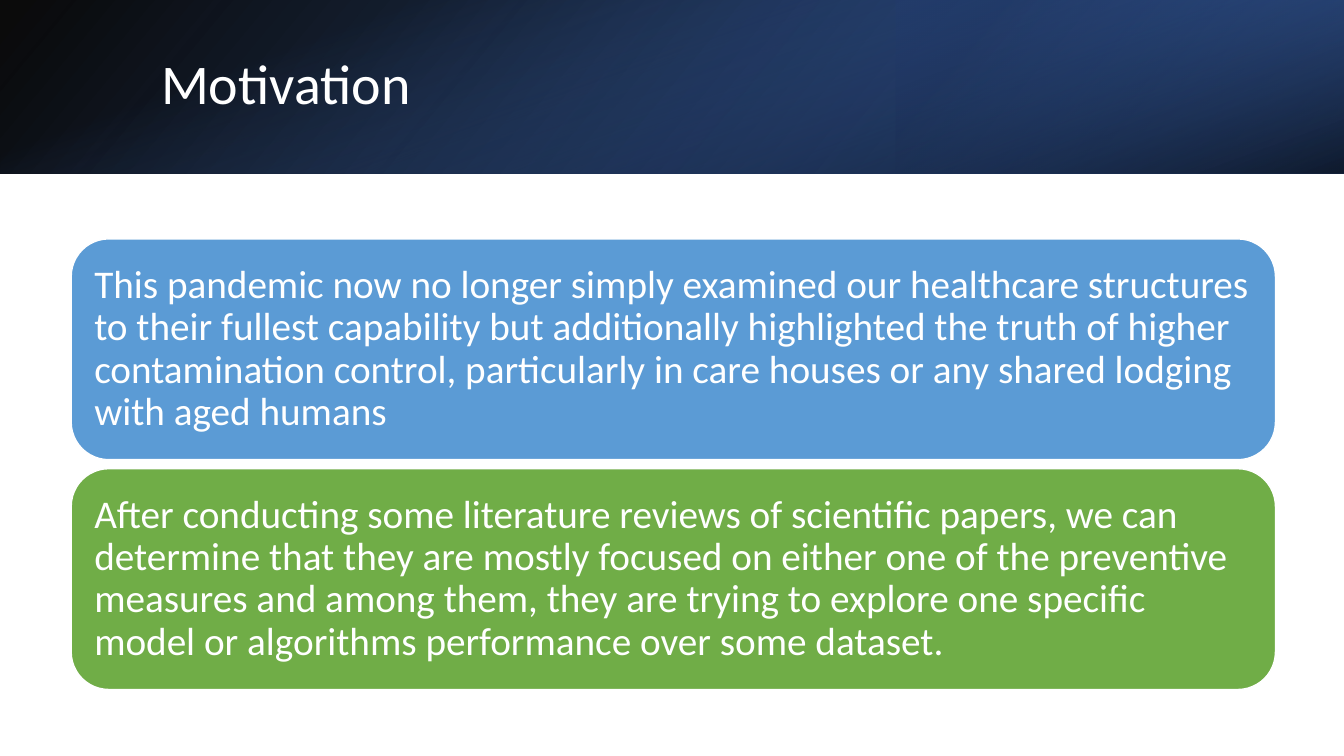
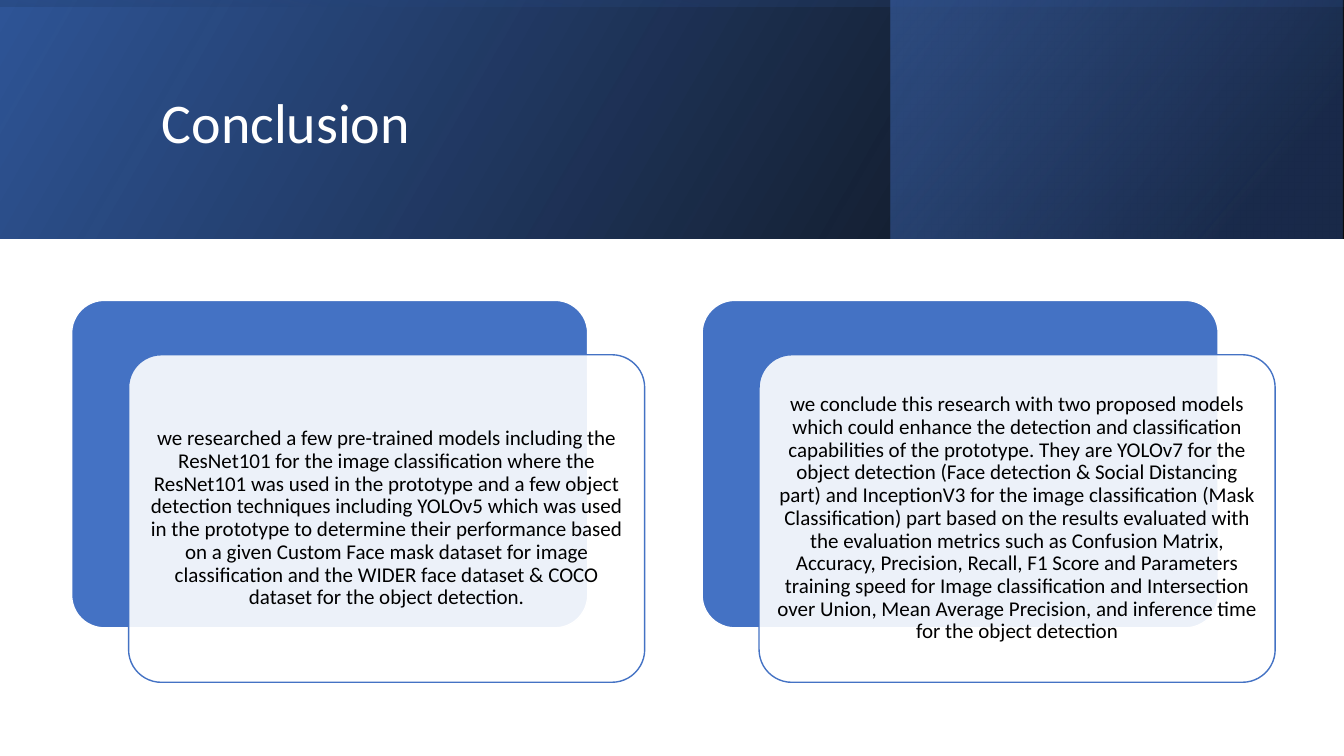
import dataclasses

import pptx
import pptx.dml.color
import pptx.enum.shapes
import pptx.enum.text
import pptx.oxml
import pptx.oxml.ns
import pptx.util

SHAPE = pptx.enum.shapes.MSO_SHAPE
ALIGN = pptx.enum.text.PP_ALIGN
qn = pptx.oxml.ns.qn


@dataclasses.dataclass(frozen=True)
class Theme:
    font: str = "Calibri"
    white: str = "FFFFFF"
    black: str = "000000"
    navy: str = "203864"
    deep_blue: str = "2F5597"
    blue: str = "4472C4"
    sky: str = "5B9BD5"
    green: str = "70AD47"
    title_size: int = 40
    statement_size: int = 28
    body_size: int = 15
    line_spacing: float = 0.9
    line_width: int = 1


def rgb(color):
    return pptx.dml.color.RGBColor.from_string(color)


def set_opacity(fill_node, percent):
    color = next(fill_node.iter(qn("a:srgbClr")))
    alpha = pptx.oxml.parse_xml(
        f'<a:alpha {pptx.oxml.ns.nsdecls("a")} val="{percent * 1000}"/>')
    color.append(alpha)


class Deck:
    """Draws on the current slide; boxes are (x, y, w, h) in percent of the slide."""

    def __init__(self, theme):
        self.theme = theme
        self.prs = pptx.Presentation()
        self.prs.slide_width = pptx.util.Inches(13.33)
        self.prs.slide_height = pptx.util.Inches(7.5)
        self.s = None

    def new_slide(self):
        self.s = self.prs.slides.add_slide(self.prs.slide_layouts[6])

    def emu(self, box):
        width, height = self.prs.slide_width, self.prs.slide_height
        return [round(share * side / 100)
                for share, side in zip(box, (width, height, width, height))]

    def add_text(self, tf, text, size, color, align=ALIGN.LEFT):
        tf.word_wrap = True
        tf.vertical_anchor = pptx.enum.text.MSO_ANCHOR.MIDDLE
        p = tf.paragraphs[0]
        p.alignment = align
        p.line_spacing = self.theme.line_spacing
        r = p.add_run()
        r.text = text
        r.font.name = self.theme.font
        r.font.size = pptx.util.Pt(size)
        r.font.color.rgb = rgb(color)

    def title(self, text, box):
        sp = self.s.shapes.add_textbox(*self.emu(box))
        self.add_text(sp.text_frame, text, self.theme.title_size, self.theme.white)

    def gradient(self, box, stops, angle, rotation=0, flip=False):
        """Fills the box as seen; angle runs clockwise, stops are (%, colour, opacity)."""
        x, y, w, h = self.emu(box)
        if rotation % 180:
            x, y, w, h = x + (w - h) // 2, y + (h - w) // 2, h, w
        sp = self.s.shapes.add_shape(SHAPE.RECTANGLE, x, y, w, h)
        sp.shadow.inherit = False
        sp.line.fill.background()
        sp.rotation = rotation
        if flip:
            sp._element.spPr.find(qn("a:xfrm")).set("flipH", "1")
        sp.fill.gradient()
        sp.fill.gradient_angle = 360 - angle
        for stop, (position, color, _) in zip(sp.fill.gradient_stops, stops):
            stop.position = position / 100
            stop.color.rgb = rgb(color)
        for node, (_, _, opacity) in zip(sp._element.spPr.iter(qn("a:gs")), stops):
            set_opacity(node, opacity)

    def banner(self, height, base_angle, side_look, veil_look):
        """Layers a base, a right-hand panel and a turned veil."""
        t = self.theme
        left, width, opacity, rotation = side_look
        veil_stops, veil_angle, veil_rotation, veil_flip = veil_look
        self.gradient((0, 0, 100, height),
                      [(0, t.black, 96), (100, t.deep_blue, 100)],
                      base_angle, flip=True)
        self.gradient((left, 0, width, height),
                      [(19, t.navy, 68), (100, t.blue, opacity)],
                      320, rotation, flip=True)
        self.gradient((0, 0, 100, height), veil_stops,
                      veil_angle, veil_rotation, veil_flip)

    def card(self, box, fill, line, corner, opacity=100):
        sp = self.s.shapes.add_shape(SHAPE.ROUNDED_RECTANGLE, *self.emu(box))
        sp.shadow.inherit = False
        sp.adjustments[0] = corner
        sp.fill.solid()
        sp.fill.fore_color.rgb = rgb(fill)
        if opacity < 100:
            set_opacity(sp._element.spPr.find(qn("a:solidFill")), opacity)
        sp.line.color.rgb = rgb(line)
        sp.line.width = pptx.util.Pt(self.theme.line_width)
        return sp

    def text_card(self, box, text, size, color, inset, align=ALIGN.LEFT, **look):
        tf = self.card(box, **look).text_frame
        tf.margin_left = tf.margin_right = pptx.util.Inches(inset)
        tf.margin_top = tf.margin_bottom = pptx.util.Inches(inset)
        self.add_text(tf, text, size, color, align)

    def layered_card(self, box, text):
        """Sets a pale text card over a blue one, moved down and right."""
        t = self.theme
        x, y, w, h = box
        self.card(box, t.blue, t.white, 0.1)
        self.text_card((x + 4.24, y + 7.2, w, h), text, t.body_size, t.black, 0.06,
                       ALIGN.CENTER, fill=t.white, line=t.blue, corner=0.1, opacity=90)


def motivation(deck):
    t = deck.theme
    deck.new_slide()
    deck.banner(22.93, 140, (66.67, 33.33, 79, 180),
                ([(23, t.blue, 0), (99, t.black, 74)], 340, 90, False))
    deck.title("Motivation", (11.25, 5.07, 82.35, 12.8))
    statements = [
        (t.sky, "This pandemic now no longer simply examined our healthcare structures "
                "to their fullest capability but additionally highlighted the truth of "
                "higher contamination control, particularly in care houses or any shared "
                "lodging with aged humans"),
        (t.green, "After conducting some literature reviews of scientific papers, we can "
                  "determine that they are mostly focused on either one of the preventive "
                  "measures and among them, they are trying to explore one specific model "
                  "or algorithms performance over some dataset."),
    ]
    for row, (color, text) in enumerate(statements):
        deck.text_card((5.3, 31.6 + 30.4 * row, 89.6, 29.2), text, t.statement_size,
                       t.white, 0.12, fill=color, line=t.white, corner=0.17)


def conclusion(deck):
    t = deck.theme
    deck.new_slide()
    deck.banner(31.6, 330, (66.3, 33.6, 48, 0),
                ([(23, t.deep_blue, 16), (99, t.black, 45)], 350, 270, True))
    deck.title("Conclusion", (11.3, 5.07, 79.73, 22.93))
    findings = [
        "we researched a few pre-trained models including the ResNet101 for the image "
        "classification where the ResNet101 was used in the prototype and a few object "
        "detection techniques including YOLOv5 which was used in the prototype to "
        "determine their performance based on a given Custom Face mask dataset for image "
        "classification and the WIDER face dataset & COCO dataset for the object "
        "detection.",
        "we conclude this research with two proposed models which could enhance the "
        "detection and classification capabilities of the prototype. They are YOLOv7 for "
        "the object detection (Face detection & Social Distancing part) and InceptionV3 "
        "for the image classification (Mask Classification) part based on the results "
        "evaluated with the evaluation metrics such as Confusion Matrix, Accuracy, "
        "Precision, Recall, F1 Score and Parameters training speed for Image "
        "classification and Intersection over Union, Mean Average Precision, and "
        "inference time for the object detection",
    ]
    for column, text in enumerate(findings):
        deck.layered_card((5.33 + 46.91 * column, 39.73, 38.4, 43.33), text)


def main():
    deck = Deck(Theme())
    motivation(deck)
    conclusion(deck)
    deck.prs.save("out.pptx")


if __name__ == "__main__":
    main()
